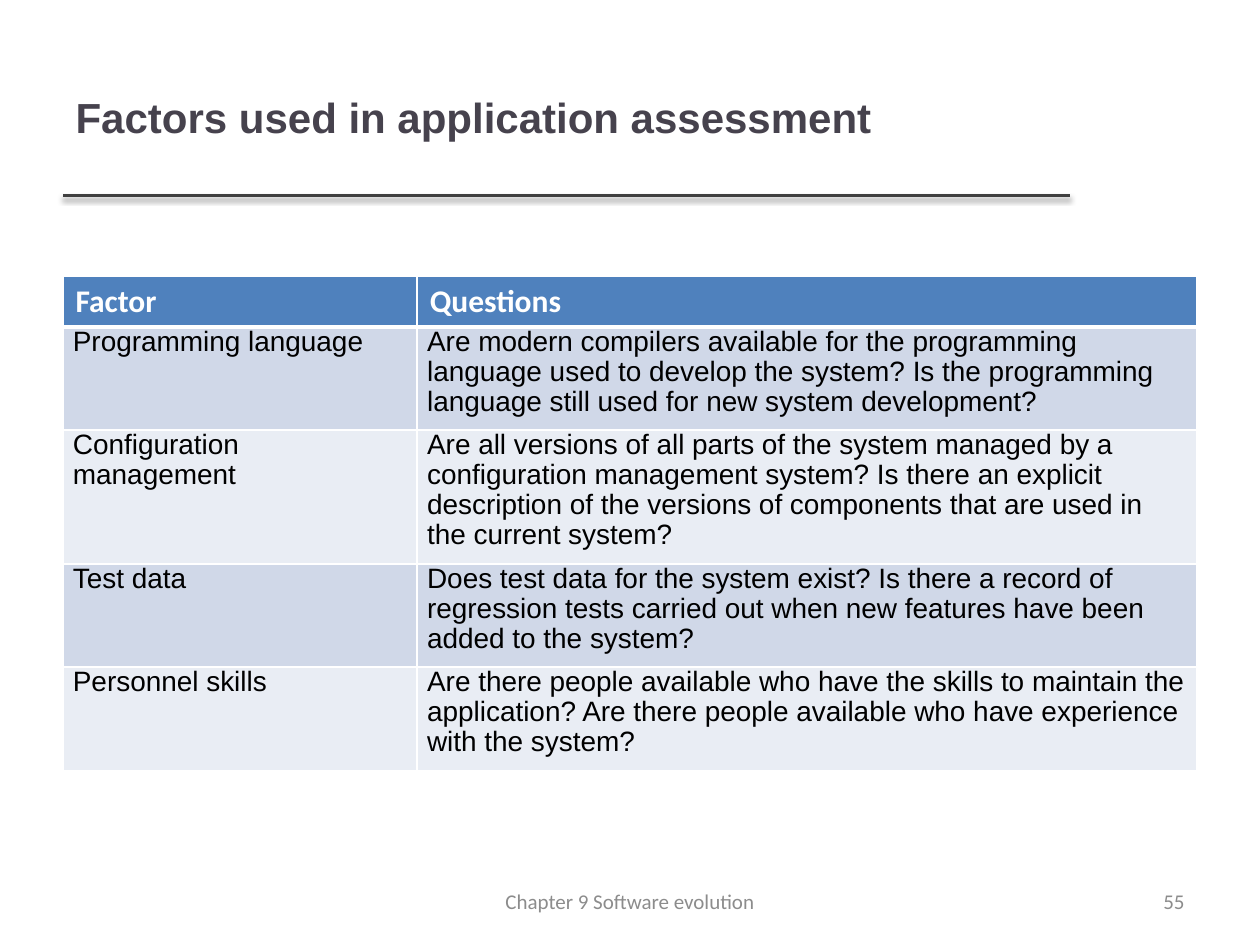
"""Build the slide on factors used in application assessment."""
from lxml import etree
from pptx import Presentation
from pptx.dml.color import RGBColor
from pptx.enum.shapes import MSO_CONNECTOR
from pptx.enum.text import MSO_ANCHOR, PP_ALIGN
from pptx.oxml import parse_xml
from pptx.util import Cm, Pt

STRAIGHT = MSO_CONNECTOR.STRAIGHT
MIDDLE = MSO_ANCHOR.MIDDLE
LEFT, CENTER, RIGHT = PP_ALIGN.LEFT, PP_ALIGN.CENTER, PP_ALIGN.RIGHT
DRAWING = "http://schemas.openxmlformats.org/drawingml/2006/main"

COLORS = {
    "title": "46424D",
    "rule": "404040",
    "header": "4F81BD",
    "odd": "D0D8E8",
    "even": "E9EDF4",
    "white": "FFFFFF",
    "text": "000000",
    "footer": "8C8C8C",
}
ROWS = [
    ("Factor", "Questions"),
    ("Programming language",
     "Are modern compilers available for the programming language used to develop "
     "the system? Is the programming language still used for new system development?"),
    ("Configuration management",
     "Are all versions of all parts of the system managed by a configuration "
     "management system? Is there an explicit description of the versions of "
     "components that are used in the current system?"),
    ("Test data",
     "Does test data for the system exist? Is there a record of regression tests "
     "carried out when new features have been added to the system?"),
    ("Personnel skills",
     "Are there people available who have the skills to maintain the application? "
     "Are there people available who have experience with the system?"),
]
ROW_HEIGHTS = [1.02, 2.08, 2.7, 2.08, 2.08]
COLUMN_WIDTHS = [7.14, 15.72]


def write(frame, text, font, size, color, bold=False, align=LEFT):
    frame.text = text
    para = frame.paragraphs[0]
    para.alignment = align
    span = para.runs[0]
    span.font.name = font
    span.font.size = Pt(size)
    span.font.bold = bold
    span.font.color.rgb = RGBColor.from_string(COLORS[color])
    return para


def add_border(cell, side, width):
    cell._tc.get_or_add_tcPr().append(parse_xml(
        f'<a:ln{side} xmlns:a="{DRAWING}" w="{Pt(width)}"><a:solidFill>'
        f'<a:srgbClr val="{COLORS["white"]}"/></a:solidFill></a:ln{side}>'))


deck = Presentation()
deck.slide_width, deck.slide_height = Cm(25.4), Cm(19.05)
page = deck.slides.add_slide(deck.slide_layouts[5])

rule = page.shapes.add_connector(STRAIGHT, Cm(1.27), Cm(3.94), Cm(21.56), Cm(3.94))
rule.line.color.rgb = RGBColor.from_string(COLORS["rule"])
rule.line.width = Pt(2)
effects = etree.SubElement(rule._element.spPr, f"{{{DRAWING}}}effectLst")
effects.append(parse_xml(
    f'<a:outerShdw xmlns:a="{DRAWING}" blurRad="40000" dist="20000" dir="5400000" '
    'rotWithShape="0"><a:srgbClr val="000000"><a:alpha val="38000"/></a:srgbClr>'
    '</a:outerShdw>'))

title = page.shapes.title
title.left, title.top, title.width, title.height = Cm(1.27), Cm(0.76), Cm(20.27), Cm(3.18)
title.text_frame.vertical_anchor = MIDDLE
write(title.text_frame, "Factors used in application assessment", "Arial", 24, "title", True)

table = page.shapes.add_table(
    len(ROWS), len(COLUMN_WIDTHS), Cm(1.27), Cm(5.56),
    Cm(sum(COLUMN_WIDTHS)), Cm(sum(ROW_HEIGHTS))).table
for column, width in zip(table.columns, COLUMN_WIDTHS):
    column.width = Cm(width)
for row_index, (texts, height) in enumerate(zip(ROWS, ROW_HEIGHTS)):
    table.rows[row_index].height = Cm(height)
    is_header = row_index == 0
    fill = "header" if is_header else "odd" if row_index % 2 else "even"
    for column_index, text in enumerate(texts):
        cell = table.cell(row_index, column_index)
        for side in "LRTB":
            thick = (side, row_index) in (("B", 0), ("T", 1))
            add_border(cell, side, 3 if thick else 1)
        cell.fill.solid()
        cell.fill.fore_color.rgb = RGBColor.from_string(COLORS[fill])
        if is_header:
            write(cell.text_frame, text, "Calibri", 18, "white", True)
        else:
            cell.margin_left = cell.margin_right = cell.margin_bottom = Cm(0.2)
            cell.margin_top = 0
            para = write(cell.text_frame, text, "Arial", 16, "text")
            para.line_spacing = 0.97
            para.space_after = Pt(6)

for text, left, width, align in [
    ("55", 18.2, 5.93, RIGHT),
    ("Chapter 9 Software evolution", 8.68, 8.04, CENTER),
]:
    box = page.shapes.add_textbox(Cm(left), Cm(17.66), Cm(width), Cm(1.01))
    box.text_frame.word_wrap = True
    box.text_frame.vertical_anchor = MIDDLE
    write(box.text_frame, text, "Calibri", 12, "footer", align=align)

deck.save("out.pptx")
